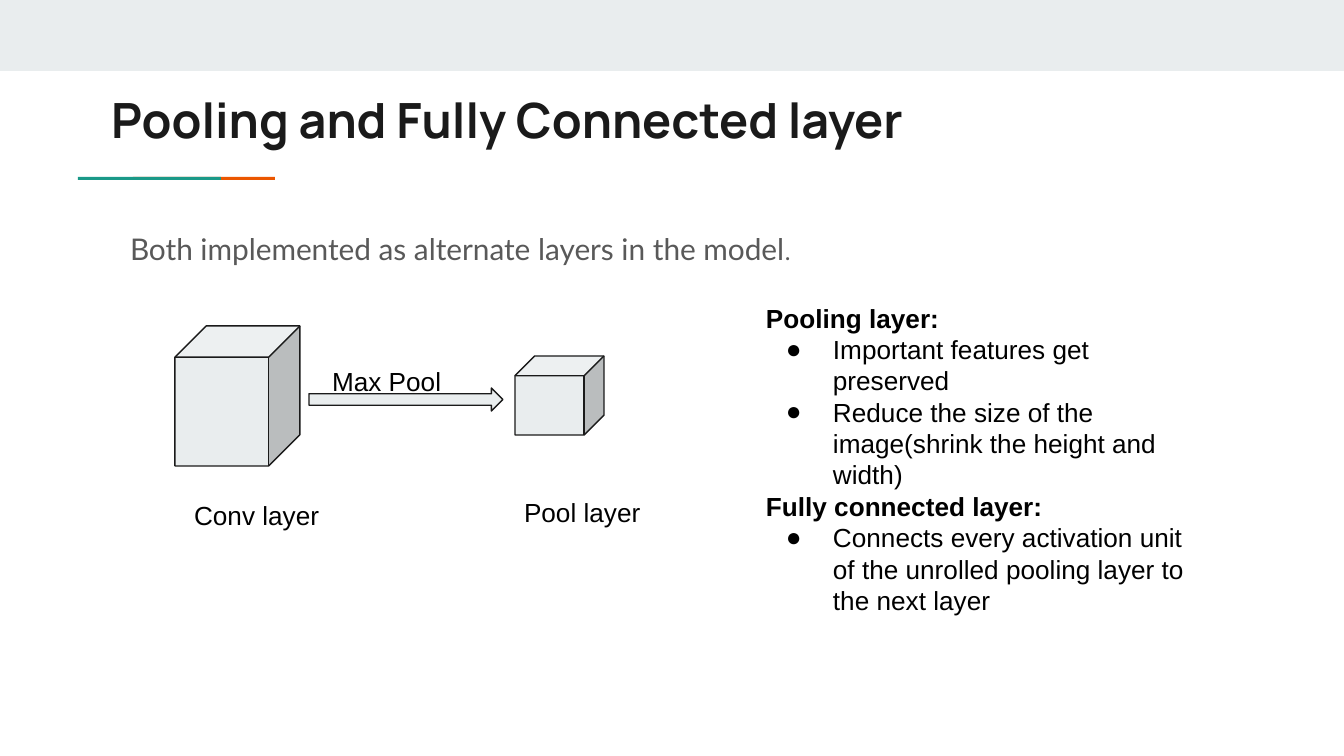
"""Build the slide on pooling and fully connected layers."""
from pptx import Presentation
from pptx.dml.color import RGBColor
from pptx.enum.shapes import MSO_SHAPE
from pptx.enum.text import MSO_ANCHOR, MSO_AUTO_SIZE, PP_ALIGN
from pptx.oxml.ns import qn
from pptx.util import Emu, Pt
from lxml import etree

RECT, CUBE, ARROW = MSO_SHAPE.RECTANGLE, MSO_SHAPE.CUBE, MSO_SHAPE.RIGHT_ARROW
TOP, LEFT, FIXED = MSO_ANCHOR.TOP, PP_ALIGN.LEFT, MSO_AUTO_SIZE.NONE
SCALE = 914400 / 134.4
INSET, HANG = 13, (67, -47)

THEME = {
    "pale": "E9EDEE", "dark": "1A1A1A", "teal": "1A9988", "orange": "EB5600",
    "line": 0.75,
    "title": ("Manrope", 26, "1A1A1A", True),
    "lead": ("Lato", 16, "595959", False),
    "stop": ("Lato", 13, "595959", False),
    "text": ("Arial", 14, "000000", False),
    "head": ("Arial", 14, "000000", True),
}

TITLE = [([("Pooling and Fully Connected layer", "title")], False)]
LEAD = [([("Both implemented as alternate layers in the model", "lead"),
          (".", "stop")], False)]
BARS = [
    ((0, 0, 1344, 71), "pale"),
    ((133, 177, 142, 3), "orange"),
    ((78, 177, 143, 3), "teal"),
]
PARTS = [
    (CUBE, (175, 326, 125, 140)),
    (CUBE, (515, 356, 89, 79)),
    (ARROW, (309, 388, 194, 23)),
]
LABELS = [
    ("Max Pool", (319, 352, 184, 36)),
    ("Conv layer", (181, 486, 164, 36)),
    ("Pool layer", (511, 483, 164, 36)),
]
NOTES = [
    ("Pooling layer:", [
        "Important features get preserved",
        "Reduce the size of the image(shrink the height and width)",
    ]),
    ("Fully connected layer:", [
        "Connects every activation unit of the unrolled pooling layer to the next layer",
    ]),
]


def px(n):
    return Emu(round(n * SCALE))


def place(shape, box):
    shape.left, shape.top, shape.width, shape.height = map(px, box)


def bullet(para, on):
    props = para._p.get_or_add_pPr()
    left, hang = HANG if on else (0, 0)
    props.set("marL", str(px(left)))
    props.set("indent", str(px(hang)))
    if on:
        tint = etree.SubElement(props, qn("a:buClr"))
        etree.SubElement(tint, qn("a:srgbClr"), val=THEME["text"][2])
        etree.SubElement(props, qn("a:buFont"), typeface=THEME["text"][0])
        etree.SubElement(props, qn("a:buChar"), char="●")
    else:
        etree.SubElement(props, qn("a:buNone"))


def write(shape, paras, gap=1.0):
    frame = shape.text_frame
    frame.word_wrap, frame.auto_size = True, FIXED
    frame.vertical_anchor = TOP
    frame.margin_left = frame.margin_right = px(INSET)
    frame.margin_top = frame.margin_bottom = px(INSET)
    for i, (runs, on) in enumerate(paras):
        para = frame.add_paragraph() if i else frame.paragraphs[0]
        bullet(para, on)
        para.alignment, para.line_spacing = LEFT, gap
        para.space_before = Pt(0)
        for text, style in runs:
            run = para.add_run()
            run.text = text
            name, size, tint, bold = THEME[style]
            font = run.font
            font.name, font.size, font.bold = name, Pt(size), bold
            font.color.rgb = RGBColor.from_string(tint)


def draw(slide, kind, box, tint, edge=None):
    shape = slide.shapes.add_shape(kind, *map(px, box))
    shape.shadow.inherit = False
    shape.fill.solid()
    shape.fill.fore_color.rgb = RGBColor.from_string(THEME[tint])
    if edge:
        shape.line.color.rgb = RGBColor.from_string(THEME[edge])
        shape.line.width = Pt(THEME["line"])
    else:
        shape.line.fill.background()


def main():
    deck = Presentation()
    deck.slide_width, deck.slide_height = px(1344), px(756)
    slide = deck.slides.add_slide(deck.slide_layouts[1])
    title, body = slide.placeholders
    for box, tint in BARS:
        draw(slide, RECT, box, tint)
    place(title, (98, 77, 1130, 79))
    write(title, TITLE)
    place(body, (117, 212, 1130, 481))
    write(body, LEAD, 1.15)
    for kind, box in PARTS:
        draw(slide, kind, box, "pale", "dark")
    for text, box in LABELS:
        write(slide.shapes.add_textbox(*map(px, box)), [([(text, "text")], False)])
    notes = []
    for head, items in NOTES:
        notes.append(([(head, "head")], False))
        notes += [([(item, "text")], True) for item in items]
    write(slide.shapes.add_textbox(*map(px, (753, 289, 456, 345))), notes)
    deck.save("out.pptx")


if __name__ == "__main__":
    main()
